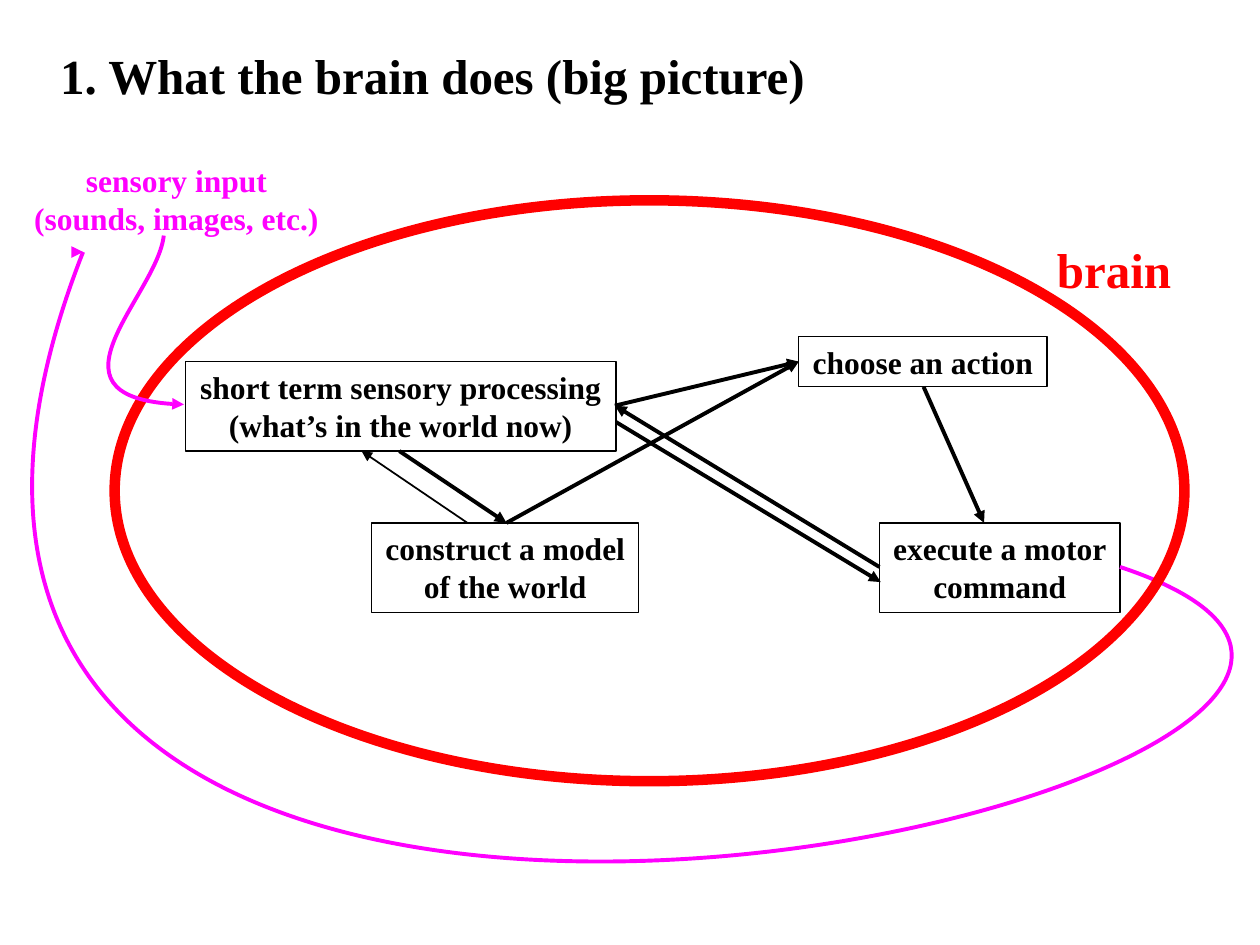
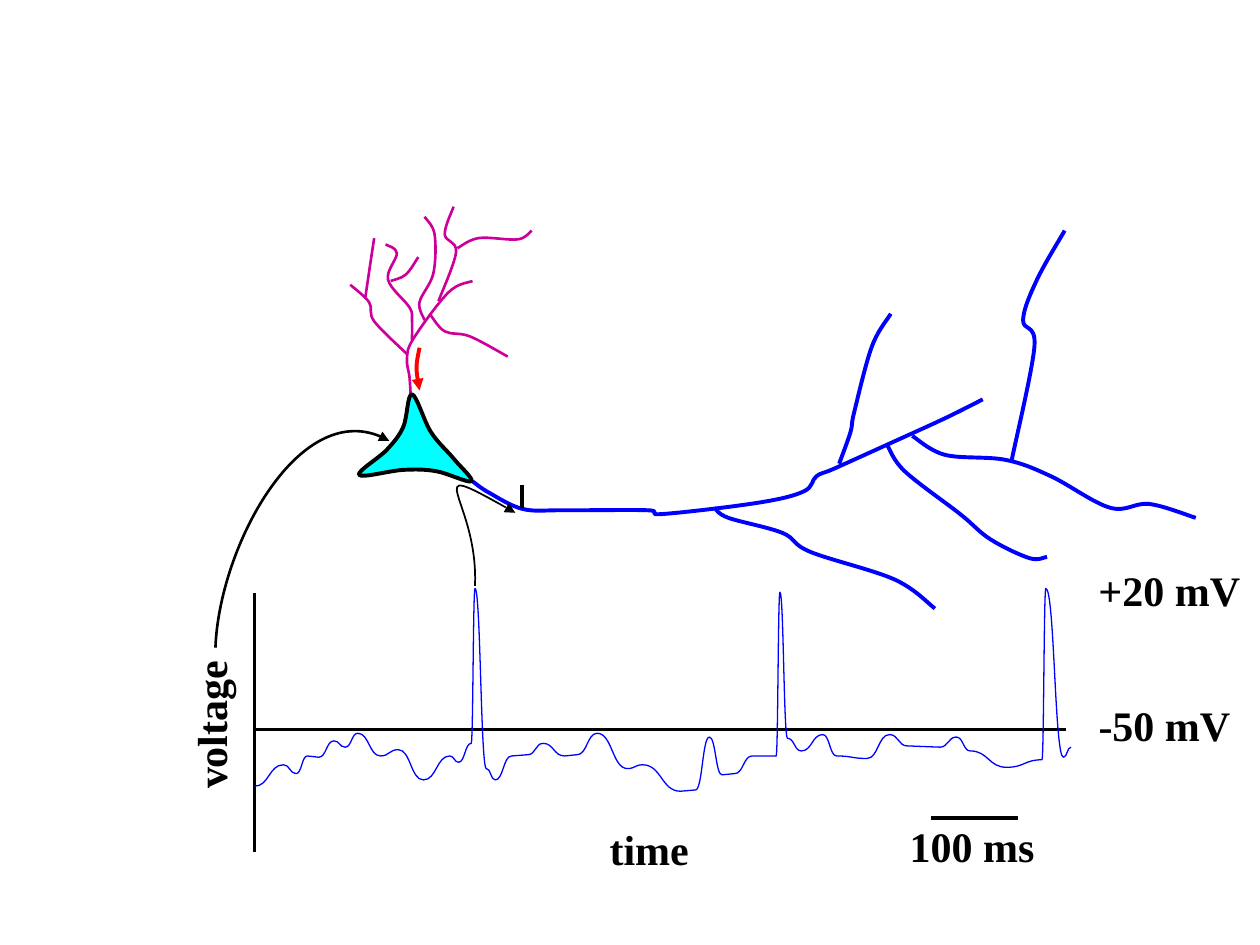
import pptx
import pptx.util
import pptx.dml.color
import pptx.enum.shapes
import pptx.enum.text
import pptx.oxml.ns
from lxml import etree

Inches = pptx.util.Inches
RGB = pptx.dml.color.RGBColor
Shape = pptx.enum.shapes.MSO_SHAPE
Align = pptx.enum.text.PP_ALIGN
qn = pptx.oxml.ns.qn

BLACK = RGB(0, 0, 0)
RED = RGB(0xFF, 0, 0)
PINK = RGB(0xFF, 0, 0xFF)
PLUM = RGB(0xCC, 0, 0x99)
BLUE = RGB(0, 0, 0xFF)
CYAN = RGB(0, 0xFF, 0xFF)

FONT = {"name": "Times New Roman", "bold": True}
FRAME = {
    "auto_size": pptx.enum.text.MSO_AUTO_SIZE.SHAPE_TO_FIT_TEXT,
    "vertical_anchor": pptx.enum.text.MSO_ANCHOR.TOP,
}

DENDRITES = [
    [(3.26, 3.14), (3.25, 2.99), (3.23, 2.85), (3.28, 2.69), (3.56, 2.32), (3.75, 2.23)],
    [(3.27, 2.7), (3.27, 2.54), (3.25, 2.44), (3.08, 2.22), (3.15, 2.01), (3.06, 1.94)],
    [(3.48, 2.39), (3.62, 2), (3.53, 1.86), (3.6, 1.64)],
    [(3.1, 2.23), (3.22, 2.18), (3.32, 2.04)],
    [(3.41, 2.49), (3.53, 2.63), (3.73, 2.67), (4.03, 2.83)],
    [(3.63, 1.97), (3.8, 1.89), (4.11, 1.9), (4.22, 1.83)],
    [(3.37, 2.54), (3.33, 2.4), (3.44, 2.17), (3.45, 1.86), (3.37, 1.72)],
    [(3.23, 2.81), (2.97, 2.55), (2.93, 2.4), (2.78, 2.26)],
    [(2.9, 2.36), (2.94, 2.09), (2.97, 1.89)],
]
SOMA = [(3.6, 3.64), (3.74, 3.82), (3.46, 3.74), (3.2, 3.73), (2.85, 3.77),
        (3.07, 3.57), (3.2, 3.39), (3.27, 3.13), (3.42, 3.43), (3.6, 3.64)]
AXONS = [
    [(3.75, 3.82), (3.88, 3.91), (4.15, 4.04), (4.48, 4.05), (5.14, 4.05), (5.26, 4.08),
     (6.02, 3.99), (6.38, 3.9), (6.48, 3.78), (6.62, 3.72), (7.04, 3.53), (7.5, 3.32),
     (7.8, 3.17)],
    [(6.66, 3.68), (6.75, 3.43), (6.78, 3.27), (6.92, 2.75), (7.07, 2.49)],
    [(5.67, 4.03), (5.78, 4.11), (6.21, 4.23), (6.43, 4.38), (7.1, 4.6), (7.42, 4.83)],
    [(7.24, 3.46), (7.5, 3.61), (7.98, 3.65), (8.34, 3.78), (8.81, 4.03), (9.12, 4),
     (9.49, 4.11)],
    [(8.03, 3.65), (8.21, 2.75), (8.12, 2.54), (8.23, 2.22), (8.45, 1.83)],
    [(7.04, 3.53), (7.18, 3.74), (7.62, 4.08), (7.86, 4.28), (8.17, 4.43), (8.31, 4.42)],
]
TRACE = [
    (2.02, 6.24), (2.25, 6.07), (2.35, 6.14), (2.44, 6), (2.53, 6.01), (2.65, 5.88),
    (2.74, 5.93), (2.84, 5.82), (3.02, 6), (3.16, 5.95), (3.36, 6.19), (3.57, 6),
    (3.64, 6.05), (3.74, 5.9), (3.77, 4.67), (3.86, 6.1), (3.93, 6.19), (4.06, 6),
    (4.19, 5.99), (4.31, 5.9), (4.48, 6), (4.58, 5.99), (4.74, 5.82), (4.98, 6.1),
    (5.1, 6.07), (5.4, 6.28), (5.52, 6.27), (5.63, 5.85), (5.73, 6.15), (5.83, 6.14),
    (5.97, 6), (6.16, 6), (6.19, 4.7), (6.25, 5.86), (6.36, 5.96), (6.53, 5.83),
    (6.64, 6), (6.88, 6.02), (7.06, 5.83), (7.2, 5.92), (7.46, 5.93), (7.59, 5.85),
    (7.7, 5.96), (7.99, 6.09), (8.27, 6.03), (8.3, 4.67), (8.44, 6.01), (8.5, 5.93)]


def put(item, values):
    for name, value in values.items():
        setattr(item, name, value)


def blend(a, b, c, d, t):
    u = 1 - t
    return tuple(u**3 * p + 3 * u * u * t * q + 3 * u * t * t * r + t**3 * s
                 for p, q, r, s in zip(a, b, c, d))


def flow(dots):
    loop = dots[0] == dots[-1]
    first, last = (dots[-2], dots[1]) if loop else (dots[0], dots[-1])
    line = [first, *dots, last]
    return [(b, tuple(q + (r - p) / 6 for p, q, r in zip(a, b, c)),
             tuple(q - (r - p) / 6 for p, q, r in zip(b, c, d)), c)
            for a, b, c, d in zip(line, line[1:], line[2:], line[3:])]


def wave(dots):
    return [(a, ((a[0] + b[0]) / 2, a[1]), ((a[0] + b[0]) / 2, b[1]), b)
            for a, b in zip(dots, dots[1:])]


class Deck:
    def __init__(self):
        self.prs = pptx.Presentation()
        put(self.prs, {"slide_width": Inches(10), "slide_height": Inches(7.5)})

    def page(self):
        self.shapes = self.prs.slides.add_slide(self.prs.slide_layouts[6]).shapes

    def stroke(self, item, color, width, end=None):
        item.line.width = pptx.util.Pt(width)
        item.line.color.rgb = color
        if end:
            ln = item._element.spPr.find(qn("a:ln"))
            etree.SubElement(ln, qn(f"a:{end}End"), type="triangle")

    def words(self, item, text, size, color, align, wrap=False):
        frame = item.text_frame
        put(frame, {**FRAME, "word_wrap": wrap, "text": text})
        for para in frame.paragraphs:
            para.alignment = align
            put(para.font, {**FONT, "size": pptx.util.Pt(size)})
            para.font.color.rgb = color

    def label(self, text, at, size, color=BLACK, align=Align.LEFT, wrap=False, turn=0):
        item = self.shapes.add_textbox(*map(Inches, at))
        item.rotation = turn
        self.words(item, text, size, color, align, wrap)

    def shape(self, kind, at, color, width):
        item = self.shapes.add_shape(kind, *map(Inches, at))
        item.shadow.inherit = False
        item.fill.background()
        self.stroke(item, color, width)
        return item

    def box(self, text, at):
        item = self.shape(Shape.RECTANGLE, at, BLACK, 0.75)
        self.words(item, text, 18, BLACK, Align.CENTER)

    def line(self, ends, width=2.25, end=None):
        kind = pptx.enum.shapes.MSO_CONNECTOR.STRAIGHT
        item = self.shapes.add_connector(kind, *map(Inches, ends))
        self.stroke(item, BLACK, width, end)
        etree.SubElement(item._element.spPr, qn("a:effectLst"))

    def curve(self, arcs, color, width=2.25, end=None, fill=None):
        arcs = [[tuple(map(Inches, dot)) for dot in arc] for arc in arcs]
        pen = self.shapes.build_freeform(*arcs[0][0])
        pen.add_line_segments([blend(*arc, step / 20) for arc in arcs
                               for step in range(1, 21)], close=bool(fill))
        item = pen.convert_to_shape()
        route = item._element.find(".//" + qn("a:path"))
        for old in route.findall(qn("a:lnTo")):
            route.remove(old)
        for spot, arc in enumerate(arcs, 1):
            bend = etree.Element(qn("a:cubicBezTo"))
            for x, y in arc[1:]:
                etree.SubElement(bend, qn("a:pt"), x=str(x - item.left), y=str(y - item.top))
            route.insert(spot, bend)
        item.shadow.inherit = False
        if fill:
            item.fill.solid()
            item.fill.fore_color.rgb = fill
        else:
            item.fill.background()
        self.stroke(item, color, width, end)


def brain(deck):
    deck.page()
    for text, at in [
        ("short term sensory processing\n(what’s in the world now)", (1.47, 2.87, 3.42, 0.71)),
        ("construct a model\nof the world", (2.95, 4.15, 2.12, 0.71)),
        ("choose an action", (6.34, 2.67, 1.97, 0.4)),
        ("execute a motor\ncommand", (6.98, 4.15, 1.91, 0.71)),
    ]:
        deck.box(text, at)
    for ends in [(4.88, 3.22, 6.34, 2.87), (3.17, 3.58, 4.02, 4.15),
                 (4.02, 4.15, 6.34, 2.87), (7.33, 3.07, 7.81, 4.15),
                 (6.98, 4.5, 4.88, 3.22), (4.89, 3.35, 6.99, 4.62)]:
        deck.line(ends, end="tail")
    deck.line((2.87, 3.58, 3.71, 4.15), 1, "head")
    deck.curve([[(8.89, 4.5), (13.65, 6.08), (-2.46, 9.94), (0.66, 2)]], PINK, end="tail")
    deck.shape(Shape.OVAL, (0.91, 1.59, 8.49, 4.61), RED, 6)
    deck.label("brain", (8.29, 1.85, 1.12, 0.57), 28, RED)
    deck.label("sensory input\n(sounds, images, etc.)", (0.16, 1.23, 2.48, 0.71),
               18, PINK, Align.CENTER)
    deck.curve([[(1.3, 1.87), (1.25, 2.34), (0.24, 3.18), (1.46, 3.21)]], PINK, end="tail")
    deck.label("1. What the brain does (big picture)", (0.38, 0.31, 9.44, 0.57), 28, wrap=True)


def neuron(deck):
    deck.page()
    for twig in DENDRITES:
        deck.curve(flow(twig), PLUM, 1.5)
    deck.line((2.02, 4.71, 2.02, 6.76), 1.5)
    deck.line((2.02, 5.79, 8.46, 5.79), 1.5)
    deck.line((7.39, 6.49, 8.08, 6.49))
    deck.curve(wave(TRACE), BLUE, 0.75)
    deck.label("voltage", (1.06, 5.5, 1.22, 0.5), 24, turn=270)
    deck.label("100 ms", (7.12, 6.46, 1.19, 0.5), 24, align=Align.CENTER)
    deck.label("time", (4.74, 6.49, 0.83, 0.5), 24)
    deck.label("-50 mV", (8.62, 5.5, 1.25, 0.5), 24)
    deck.label("+20 mV", (8.62, 4.43, 1.34, 0.51), 24)
    for branch in AXONS:
        deck.curve(flow(branch), BLUE)
    deck.curve(flow(SOMA), BLACK, fill=CYAN)
    deck.curve([[(1.71, 5.14), (1.74, 4.34), (2.41, 3.1), (3.09, 3.5)]], BLACK, 1.5, "tail")
    deck.line((4.14, 3.85, 4.14, 4.03))
    deck.curve([[(3.33, 3.1), (3.3, 2.94), (3.3, 2.9), (3.33, 2.76)]], RED, end="head")
    deck.curve([[(4.09, 4.07), (3.26, 3.6), (3.8, 3.96), (3.77, 4.65)]], BLACK, 1, "head")


def main():
    deck = Deck()
    brain(deck)
    neuron(deck)
    deck.prs.save("out.pptx")


if __name__ == "__main__":
    main()
